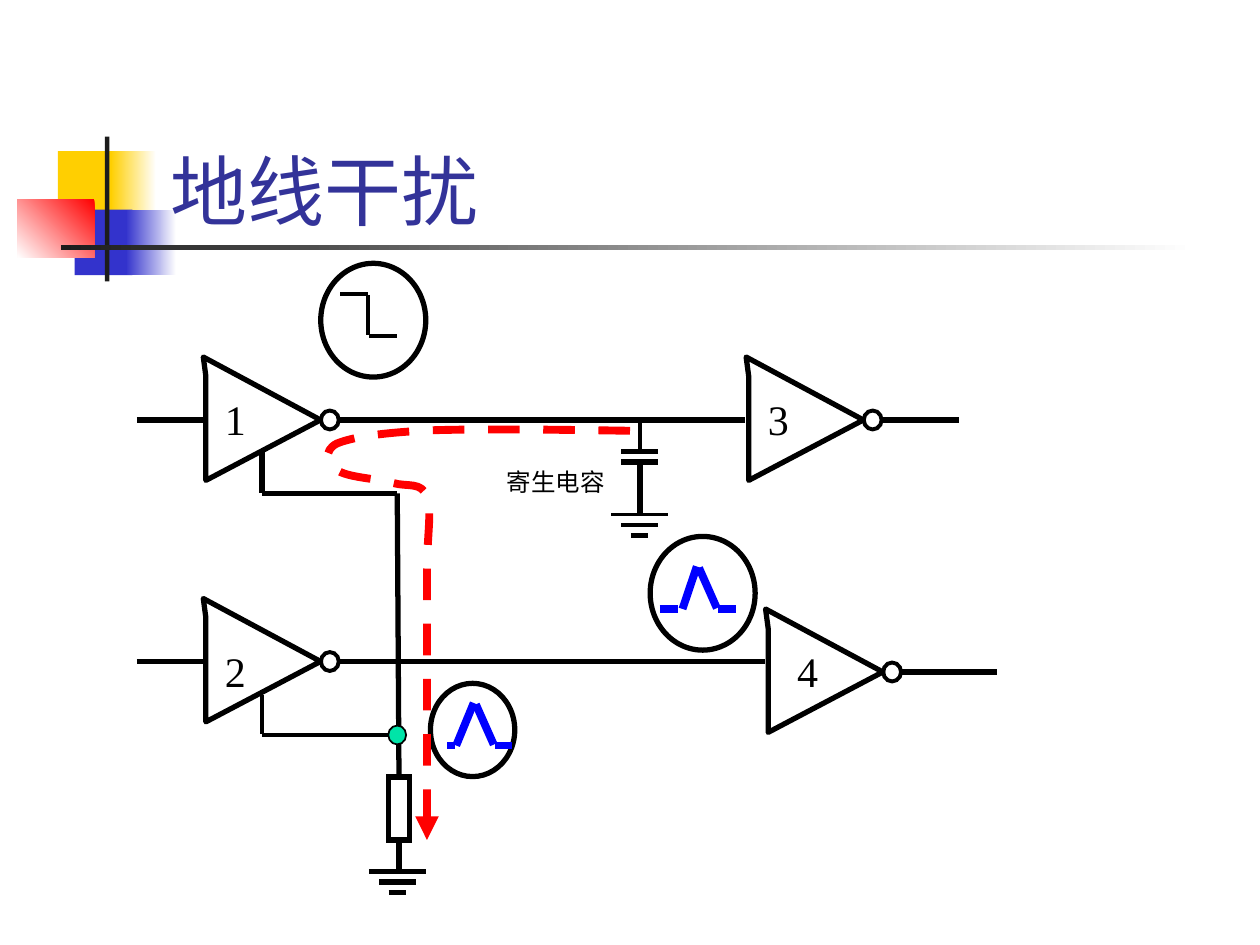
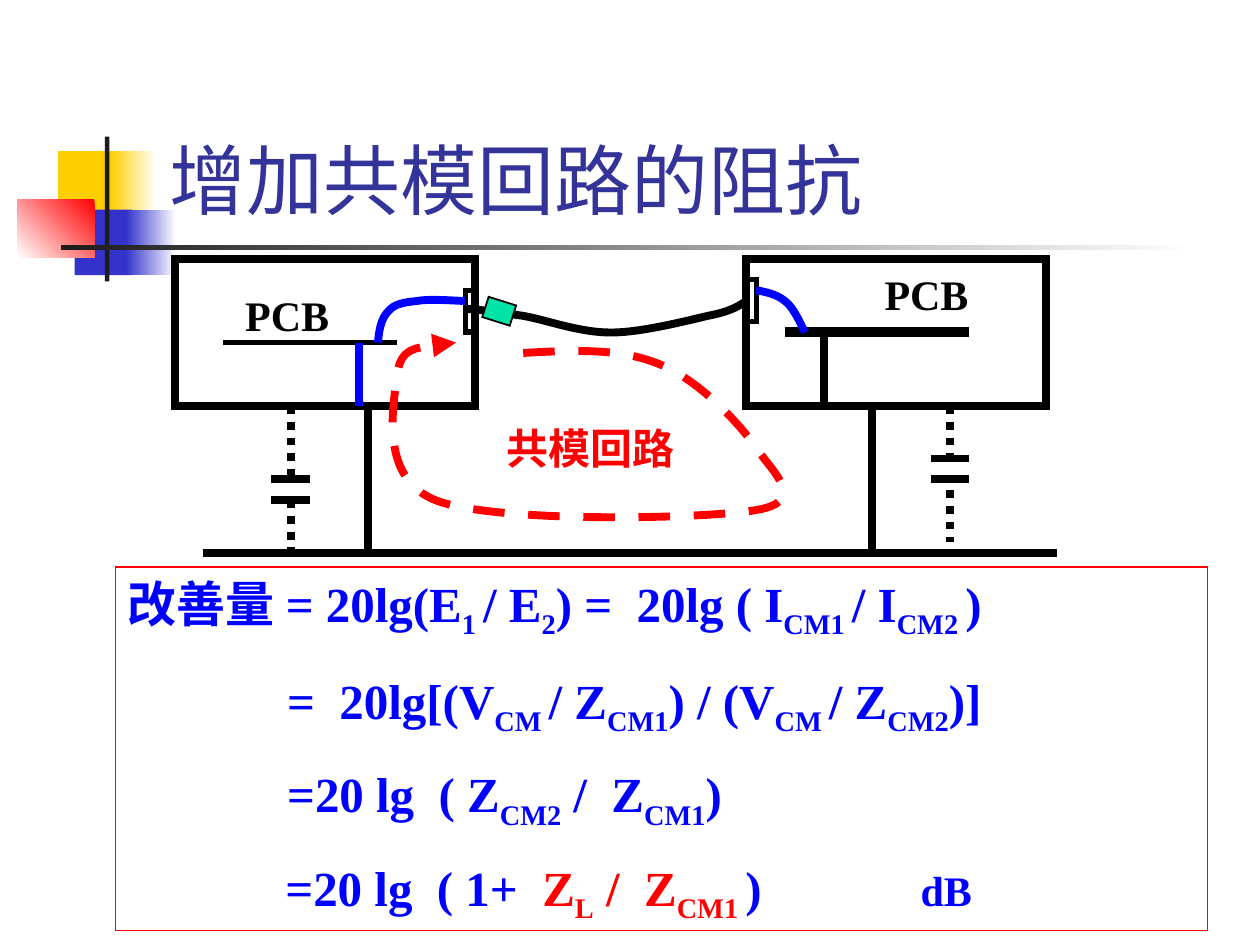
import lxml.etree
import pptx
import pptx.dml.color
import pptx.enum.dml
import pptx.enum.shapes
import pptx.enum.text
import pptx.oxml.ns
import pptx.util

Pt = pptx.util.Pt
SHAPE = pptx.enum.shapes.MSO_SHAPE
DASH = pptx.enum.dml.MSO_LINE.DASH
DOTS = pptx.enum.dml.MSO_LINE.ROUND_DOT
qn = pptx.oxml.ns.qn

COLORS = {
    "white": "FFFFFF", "black": "000000", "ink": "1C1C1C", "title": "333399",
    "yellow": "FFCF01", "indigo": "3333CC", "red": "FF0000", "blue": "0000FF",
    "mint": "00E4A8",
}
BODY_FONT, TITLE_FONT = "Times New Roman", "Cabin"


def rgb(name):
    return pptx.dml.color.RGBColor.from_string(COLORS[name])


class Deck:
    """Holds the shared style and the slide being drawn; lengths are points."""

    def __init__(self):
        self.prs = pptx.Presentation()
        self.prs.slide_width, self.prs.slide_height = Pt(720), Pt(540)
        self.layout = self.prs.slide_layouts[6]
        self.decorated = False

    def new_slide(self, title, left, top, width):
        self.shapes = self.prs.slides.add_slide(self.layout).shapes
        if not self.decorated:
            self.decoration()
            self.decorated = True
        self.text(title, (left, top, width, 90), 44, "title", font=TITLE_FONT,
                  anchor=pptx.enum.text.MSO_ANCHOR.BOTTOM)

    def decoration(self):
        """Draws the shared blocks and rules and moves them to the layout."""
        for box, start, end, angle in (
            ((33.12, 86.4, 34.56, 37.44), "yellow", None, 0),
            ((63.36, 86.4, 25.92, 37.44), "white", "yellow", 180),
            ((42.6, 119.8, 33.12, 37.44), "indigo", None, 0),
            ((72, 119.8, 28.8, 37.44), "white", "indigo", 180),
            ((10, 113.8, 44, 33.4), "red", "white", 225),
            ((60, 78, 2.5, 82.8), "ink", None, 0),
            ((34.8, 140.2, 648, 2.6), "white", "ink", 180),
        ):
            block = self.shape(SHAPE.RECTANGLE, box, fill=start, line=None)
            if end:
                block.fill.gradient()
                block.fill.gradient_angle = angle
                for stop, color in zip(block.fill.gradient_stops, (start, end)):
                    stop.color.rgb = rgb(color)
            self.layout.shapes._spTree.append(block._element)

    def stroke(self, item, color, weight, dash=None, join="round", arrow=False):
        item.line.color.rgb = rgb(color)
        item.line.width = Pt(weight)
        if dash:
            item.line.dash_style = dash
        ln = item.line._get_or_add_ln()
        corner = lxml.etree.SubElement(ln, qn("a:" + join))
        if join == "miter":
            corner.set("lim", "800000")
        if arrow:
            lxml.etree.SubElement(ln, qn("a:tailEnd")).set("type", "triangle")

    def shape(self, kind, box, fill=None, line="black", weight=3):
        item = self.shapes.add_shape(kind, *map(Pt, box))
        item.shadow.inherit = False
        if fill:
            item.fill.solid()
            item.fill.fore_color.rgb = rgb(fill)
        else:
            item.fill.background()
        if line:
            self.stroke(item, line, weight, join="miter")
        else:
            item.line.fill.background()
        return item

    def rect(self, *box, **style):
        return self.shape(SHAPE.RECTANGLE, box, **style)

    def ellipse(self, *box, **style):
        return self.shape(SHAPE.OVAL, box, **style)

    def lines(self, *segments, color="black", weight=3, dash=None):
        for ends in segments:
            wire = self.shapes.add_connector(
                pptx.enum.shapes.MSO_CONNECTOR.STRAIGHT, *map(Pt, ends))
            self.stroke(wire, color, weight, dash)
            lxml.etree.SubElement(wire._element.spPr, qn("a:effectLst"))

    def outline(self, points, color="black", weight=3, **style):
        points = [(Pt(x), Pt(y)) for x, y in points]
        builder = self.shapes.build_freeform(*points[0], scale=1.0)
        builder.add_line_segments(points[1:], close=False)
        item = builder.convert_to_shape()
        item.shadow.inherit = False
        item.fill.background()
        self.stroke(item, color, weight, **style)
        return item

    def curve(self, start, curves, **style):
        """Cubic curves (x1, y1, x2, y2, x, y): each three points become one."""
        points = [start] + [c[i:i + 2] for c in curves for i in (0, 2, 4)]
        item = self.outline(points, weight=4.5, **style)
        steps = list(item._element.iter(qn("a:lnTo")))
        for first in range(0, len(steps), 3):
            bend = lxml.etree.Element(qn("a:cubicBezTo"))
            steps[first].addprevious(bend)
            for step in steps[first:first + 3]:
                bend.append(step[0])
                step.getparent().remove(step)

    def frame(self, item, anchor):
        body = item.text_frame
        body.word_wrap = True
        body.vertical_anchor = anchor
        body.margin_left = body.margin_right = Pt(7.2)
        body.margin_top = body.margin_bottom = Pt(3.6)
        return body

    def run(self, paragraph, text, size, color, bold=False, font=BODY_FONT, sub=False):
        run = paragraph.add_run()
        run.text = text
        run.font.name, run.font.size, run.font.bold = font, Pt(size), bold
        run.font.color.rgb = rgb(color)
        if sub:
            run._r.get_or_add_rPr().set("baseline", "-25000")

    def text(self, words, box, size=24, color="black", bold=False, font=BODY_FONT,
             anchor=pptx.enum.text.MSO_ANCHOR.TOP):
        body = self.frame(self.shapes.add_textbox(*map(Pt, box)), anchor)
        self.run(body.paragraphs[0], words, size, color, bold, font)

    # Circuit symbols
    def inverter(self, label, x, y, dx, dy):
        back = [(x + 1.5, y + drop)
                for drop in (11, 19.5, 29, 41, 45.5, 50, 54, 59, 65, 70.5)]
        self.outline([(x, y), *back, (x + 67, y + 36), (x, y)])
        self.ellipse(x + 67.2, y + 30.6, 10.2, 10.8, weight=2.25)
        self.text(label, (x + dx, y + dy, 30, 36))

    def ground(self, x, y, weights):
        for level, (half, weight) in enumerate(zip((16.25, 10.5, 5), weights)):
            bar_y = y + 6 * level
            self.lines((x - half, bar_y, x + half, bar_y), weight=weight)

    def pulse(self, foot, peak, y, lead):
        fall = peak + 1.25
        self.lines((lead[0], y, lead[1], y),
                   (foot, y, peak, y - 24.3),
                   (fall, y - 23.5, fall + 10.2, y - 0.5),
                   (fall + 10.7, y, fall + 20.9, y), color="blue", weight=4.5)

    # Formula rows: groups of (colour, size, parts), every second part lowered
    def formula(self, box, rows, unit_tab):
        item = self.rect(*box, line="red", weight=0.75)
        body = self.frame(item, pptx.enum.text.MSO_ANCHOR.TOP)
        for index, (space, tab, groups) in enumerate(rows):
            row = body.add_paragraph() if index else body.paragraphs[0]
            stops = lxml.etree.SubElement(row._p.get_or_add_pPr(), qn("a:tabLst"))
            for position in (tab, unit_tab):
                stop = lxml.etree.SubElement(stops, qn("a:tab"))
                stop.set("pos", str(Pt(position)))
                stop.set("algn", "l")
            row.alignment = pptx.enum.text.PP_ALIGN.LEFT
            if index:
                row.space_before = Pt(space)
            for color, size, parts in groups:
                for number, part in enumerate(parts):
                    self.run(row, part, size, color, bold=True, sub=number % 2 == 1)


def ground_noise(deck):
    deck.new_slide("地线干扰", 90.3, 48.5, 613.5)

    # Gates and signal wires
    for gate in (("1", 116.2, 204, 5.2, 17.6), ("2", 116.2, 342, 5.2, 23.6),
                 ("3", 426.4, 204, 5.3, 17.6), ("4", 437.5, 348, 11, 17.6)):
        deck.inverter(*gate)
    deck.lines((78.2, 240, 116.2, 240), (194, 240, 426, 240), (504.5, 240, 548, 240),
               (78.2, 378, 116.2, 378), (194, 378, 437.2, 378), (515.3, 384, 570, 384))

    # Shared ground return
    deck.lines((149.7, 258.5, 149.7, 281.5), (150, 282, 226.8, 282),
               (227, 282, 228, 444), (228, 480, 228, 498))
    deck.lines((149.7, 397, 149.7, 419.5), (150, 420, 227, 420), weight=2.25)
    deck.ellipse(221.9, 414.6, 10.2, 10.8, fill="mint", weight=1)
    deck.rect(222, 444, 12.2, 36)
    deck.ground(227.1, 498, (3, 3, 3))

    # Stray capacitor
    deck.lines((355, 258, 376, 258), (355, 264, 376, 264), (365.7, 264, 365.7, 294))
    deck.lines((365.7, 240.5, 365.7, 258), weight=2.25)
    deck.ground(365.5, 294, (2.25, 2.25, 3))
    deck.text("寄生电容", (282.4, 263.6, 78.5, 24), 14)

    # Waveforms
    deck.ellipse(183.3, 150.5, 60, 65)
    deck.lines((194.5, 168, 210.2, 168), (210.4, 168.5, 210.4, 191.5),
               (211, 192, 227, 192), weight=2.25)
    deck.ellipse(246, 390.5, 48.2, 53.3)
    deck.pulse(260.7, 270.7, 426, (255.5, 260))
    deck.ellipse(371.5, 306.5, 60, 65)
    deck.pulse(390, 398.2, 348, (377, 387.5))

    # Discharge current path
    deck.curve((360, 246.2), [
        (316, 245.5, 272, 245, 244, 246), (216, 247.5, 201, 250, 192.5, 253.5),
        (184.5, 257.5, 187, 265, 192.5, 268.5), (198, 273, 216, 273.5, 224.5, 276),
        (233, 278.5, 241, 275, 244, 284), (247, 293, 244, 304, 244, 329),
        (244, 354, 244, 410, 244, 435), (244, 460, 244, 470, 244, 480),
    ], color="red", dash=DASH, arrow=True)


def common_mode(deck):
    deck.new_slide("增加共模回路的阻抗", 90, 42, 612)

    # Enclosures, boards and connectors
    for left, socket_x, socket_y in ((100, 265.8, 165.8), (426.4, 426.4, 159.8)):
        deck.rect(left, 147.8, 171.4, 84, weight=4.5)
        deck.rect(socket_x, socket_y, 5.8, 24)
    deck.lines((127.5, 195.8, 227, 195.8))
    deck.lines((448.5, 189.8, 553.8, 189.8), weight=6)
    deck.text("PCB", (133, 162, 65, 36), bold=True)
    deck.text("PCB", (498.4, 150, 78, 36), bold=True)

    # Cable and inner leads
    deck.curve((216, 195.8), [
        (216.5, 188.5, 218, 181.5, 222, 177.8), (225.5, 173.5, 231, 172.8, 238.5, 172),
        (245.5, 170.6, 261.5, 172, 265.8, 172)], color="blue")
    deck.curve((265.8, 176.5), [
        (276, 177, 285, 178.5, 299, 180.5), (313, 183, 331, 190, 349, 190),
        (366.5, 190, 391.5, 183.5, 404.5, 180.5), (417.5, 178, 422, 175, 426.4, 172)])
    deck.curve((432, 165.8), [
        (438, 167, 443.5, 168, 448.5, 172), (453.5, 175.5, 458, 186, 460, 190),
    ], color="blue")
    deck.rect(277, 171.8, 16.5, 12.2, fill="mint", weight=1).rotation = 17.4

    # Ground plane, legs and stray capacitors
    deck.lines((116.2, 316, 604, 316), (210.4, 232, 210.4, 316),
               (498.4, 232, 498.4, 316), (471, 190, 471, 232), weight=4.5)
    deck.lines((205, 196, 205, 232), color="blue", weight=4.5)
    for x, upper, lower, restart, end in ((166.1, 273.8, 285.8, 285.8, 316),
                                          (543, 262, 273.8, 280, 309.8)):
        deck.lines(*((x - 11, y, x + 11, y) for y in (upper, lower)), weight=4.5)
        deck.lines((x, 232, x, upper), (x, restart, x, end), weight=4.5, dash=DOTS)

    # Common-mode loop
    deck.curve((299, 201.7), [
        (327, 200.2, 354, 198.7, 376.5, 208), (399, 216.7, 422.5, 242, 432, 255.7),
        (441.5, 270, 462, 286.5, 432, 291.5), (402, 296.6, 283.7, 299, 249.3, 286),
        (215.3, 273, 225.4, 229, 227, 214), (229, 198.7, 245, 197.3, 260.6, 195.8),
    ], color="red", dash=DASH, arrow=True)
    deck.text("共模回路", (282.4, 237.9, 116, 36), color="red", bold=True)

    # Improvement formula
    deck.formula((66, 324, 624, 207.8), [
        (0, 91, [("blue", 28, ["改善量 = 20lg(E", "1 ", "/ E", "2", ") =  20lg ( I",
                               "CM1 ", "/ I", "CM2 ", ")"])]),
        (17.5, 91, [("blue", 28, ["\t=  20lg[(V", "CM ", "/ Z", "CM1", ") / (V",
                                  "CM ", "/ Z", "CM2", ")]"])]),
        (15, 91, [("blue", 28, ["\t=20 lg  ( Z", "CM2", " /  Z", "CM1", ")"])]),
        (15, 90, [("blue", 28, ["\t=20 lg  ( 1+  "]),
                  ("red", 28, ["Z", "L", " /  Z", "CM1 "]),
                  ("blue", 28, [")"]), ("blue", 24, ["\tdB"])]),
    ], unit_tab=453)


def main():
    deck = Deck()
    ground_noise(deck)
    common_mode(deck)
    deck.prs.save("out.pptx")


if __name__ == "__main__":
    main()
